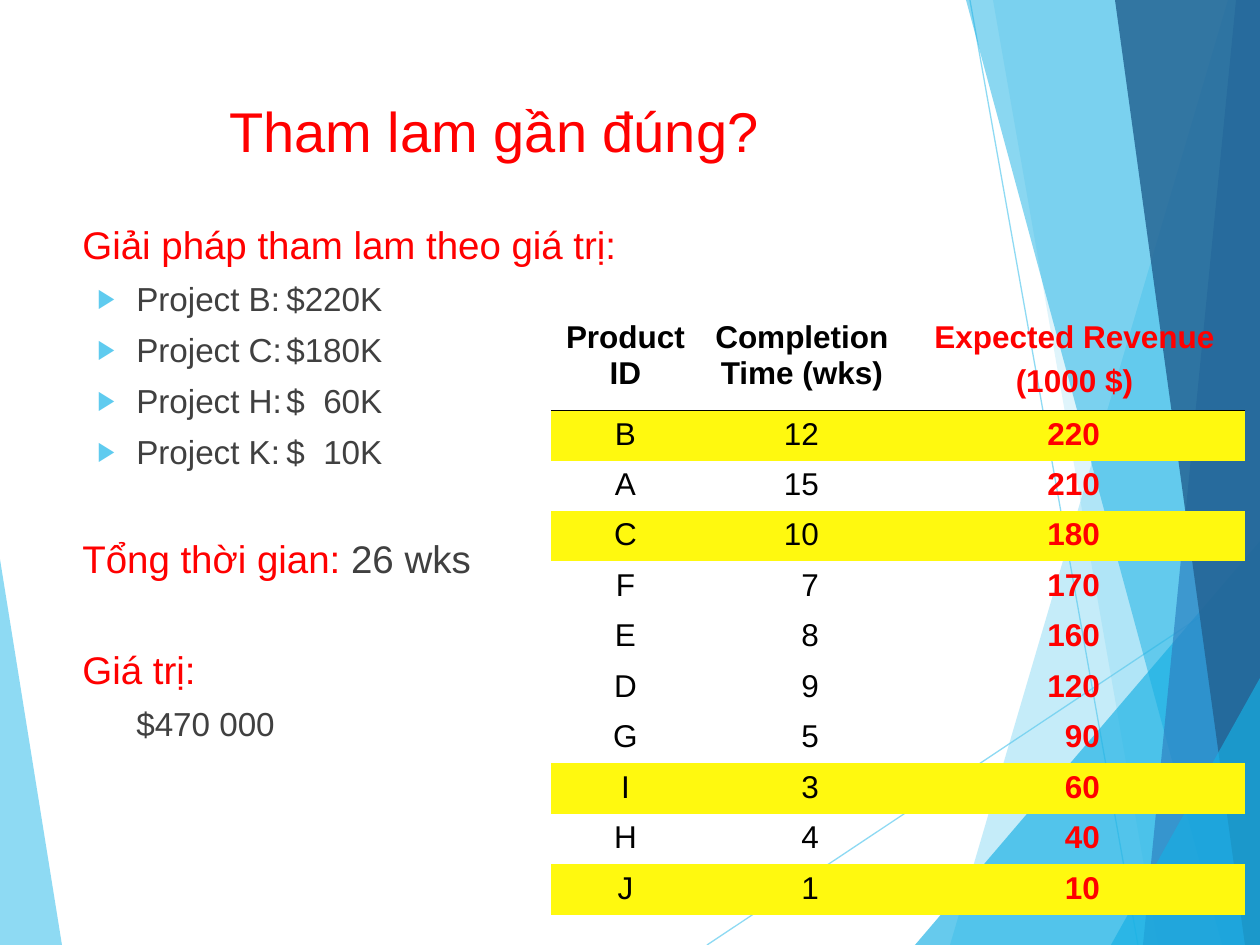
from dataclasses import dataclass

from lxml.etree import SubElement
from pptx import Presentation
from pptx.dml.color import RGBColor
from pptx.enum.shapes import MSO_CONNECTOR
from pptx.enum.text import MSO_ANCHOR, PP_ALIGN
from pptx.oxml import parse_xml
from pptx.oxml.ns import nsdecls, qn
from pptx.util import Emu, Pt

SCALE = 914400 / 126  # EMU per px
PAGE_WIDTH, PAGE_HEIGHT = 1260, 945
NO_STYLE_TABLE = "{2D5ABB26-0587-4C30-8999-92F81FD0307C}"


@dataclass(frozen=True)
class Theme:
    font: str = "Arial"
    red: str = "FF0000"
    gray: str = "404040"
    black: str = "000000"
    yellow: str = "FFF90F"
    sky: str = "5FCBEF"
    cyan: str = "17B0E4"
    blue: str = "2E83C3"
    navy: str = "236292"
    title_size: int = 32
    heading_size: int = 22
    item_size: int = 19
    table_size: int = 18


THEME = Theme()

# Facets: outline, colour, opacity in percent
W, H = PAGE_WIDTH, PAGE_HEIGHT
LEFT_FACET = ([(0, 559), (62, H), (0, H)], THEME.sky, 70)
RIGHT_FACETS = [
    ([(1228, 0), (950, H), (W, H), (W, 0)], THEME.sky, 36),
    ([(993, 0), (1158, H), (W, H), (W, 0)], THEME.sky, 20),
    ([(915, H), (W, 541), (W, H)], THEME.cyan, 66),
    ([(966, 0), (1222, H), (W, H), (W, 0)], THEME.cyan, 50),
    ([(1236, 0), (1143, H), (W, H), (W, 0)], THEME.blue, 70),
    ([(1115, 0), (1245, H), (W, H), (W, 0)], THEME.navy, 82),
    ([(1111, H), (W, 678), (W, H)], THEME.cyan, 66),
]
RAYS = [(707, H, W, 577), (970, 0, 1138, H)]

PROJECTS = ["Project B:\t$220K", "Project C:\t$180K",
            "Project H:\t$\t60K", "Project K:\t$\t10K"]

COLUMNS = [149, 204, 341]
NUMBER_MARGINS = [None, 85, 145]  # right margins of the number columns
HEADERS = ["Product ID", "Completion Time (wks)", "Expected Revenue\n(1000 $)"]
PRODUCTS = [("B", 12, 220), ("A", 15, 210), ("C", 10, 180), ("F", 7, 170),
            ("E", 8, 160), ("D", 9, 120), ("G", 5, 90), ("I", 3, 60),
            ("H", 4, 40), ("J", 1, 10)]
CHOSEN = "BCIJ"


def px(length):
    return Emu(round(length * SCALE))


def set_alpha(fill_parent, percent):
    color = next(fill_parent.iter(qn("a:srgbClr")))
    SubElement(color, qn("a:alpha")).set("val", str(percent * 1000))


def style_font(font, size, color, bold=False):
    font.name = THEME.font
    font.size = Pt(size)
    font.bold = bold
    font.color.rgb = RGBColor.from_string(color)


def add_facet(page, points, color, opacity):
    builder = page.shapes.build_freeform(*points[0], scale=SCALE)
    builder.add_line_segments(points[1:], close=True)
    facet = builder.convert_to_shape()
    facet.shadow.inherit = False
    facet.fill.solid()
    facet.fill.fore_color.rgb = RGBColor.from_string(color)
    facet.line.fill.background()
    set_alpha(facet.fill._xPr, opacity)


def add_ray(page, *ends):
    ray = page.shapes.add_connector(MSO_CONNECTOR.STRAIGHT, *map(px, ends))
    ray.line.color.rgb = RGBColor.from_string(THEME.sky)
    ray.line.width = Pt(0.75)
    properties = ray._element.spPr
    set_alpha(properties, 70)
    SubElement(properties, qn("a:effectLst"))


def add_text_box(page, left, top, width, height):
    box = page.shapes.add_textbox(*map(px, (left, top, width, height)))
    box.text_frame.word_wrap = True
    box.text_frame.vertical_anchor = MSO_ANCHOR.TOP
    return box.text_frame


def add_line(frame, spans, size, indent, before=10, bullet=False):
    """Add one paragraph; spans are (text, colour) pairs."""
    first = not frame.text
    para = frame.paragraphs[0] if first else frame.add_paragraph()
    properties = para._p.get_or_add_pPr()
    properties.set("marL", str(px(indent)))
    properties.set("indent", str(px(-39 if bullet else 0)))
    if bullet:
        add_bullet_and_tabs(properties)
    para.line_spacing = 0.84
    para.space_before = Pt(0 if first else before)
    for text, color in spans:
        span = para.add_run()
        span.text = text
        style_font(span.font, size, color)


def add_bullet_and_tabs(properties):
    parts = [
        f'<a:buClr {nsdecls("a")}><a:srgbClr val="{THEME.sky}"/></a:buClr>',
        f'<a:buSzPct {nsdecls("a")} val="80000"/>',
        f'<a:buFont {nsdecls("a")} typeface="{THEME.font}"/>',
        f'<a:buChar {nsdecls("a")} char="▶"/>',
        f'<a:tabLst {nsdecls("a")}><a:tab pos="{px(252)}" algn="l"/>'
        f'<a:tab pos="{px(348)}" algn="r"/></a:tabLst>',
    ]
    for part in parts:
        properties.append(parse_xml(part))


def fill_cell(cell, text, color, bold, fill=None, number_margin=None):
    cell.text_frame.text = text
    cell.vertical_anchor = MSO_ANCHOR.TOP
    if number_margin:
        cell.margin_right = px(number_margin)
    for index, para in enumerate(cell.text_frame.paragraphs):
        para.alignment = PP_ALIGN.RIGHT if number_margin else PP_ALIGN.CENTER
        para.space_before = Pt(4.5 if index else 0)
        for span in para.runs:
            style_font(span.font, THEME.table_size, color, bold)
    if fill:
        cell.fill.solid()
        cell.fill.fore_color.rgb = RGBColor.from_string(fill)
    else:
        cell.fill.background()


def underline_cell(cell):
    border = (f'<a:lnB {nsdecls("a")} w="{Pt(0.45)}"><a:solidFill>'
              f'<a:srgbClr val="{THEME.black}"/></a:solidFill></a:lnB>')
    cell._tc.get_or_add_tcPr().insert(0, parse_xml(border))


def add_product_table(page):
    frame = page.shapes.add_table(len(PRODUCTS) + 1, len(COLUMNS), px(551),
                                  px(314), px(sum(COLUMNS)), px(600))
    table = frame.table
    table.first_row = table.horz_banding = False
    table._tbl.tblPr.find(qn("a:tableStyleId")).text = NO_STYLE_TABLE
    for column, width in zip(table.columns, COLUMNS):
        column.width = px(width)
    for index, row in enumerate(table.rows):
        row.height = px(504 / len(PRODUCTS)) if index else px(96)

    colors = [THEME.black, THEME.black, THEME.red]
    for column, header in enumerate(HEADERS):
        cell = table.cell(0, column)
        fill_cell(cell, header, colors[column], True)
        underline_cell(cell)
    for row, product in enumerate(PRODUCTS, start=1):
        fill = THEME.yellow if product[0] in CHOSEN else None
        for column, value in enumerate(product):
            fill_cell(table.cell(row, column), str(value), colors[column],
                      column == 2, fill, NUMBER_MARGINS[column])


def main():
    deck = Presentation()
    deck.slide_width, deck.slide_height = px(PAGE_WIDTH), px(PAGE_HEIGHT)
    page = deck.slides.add_slide(deck.slide_layouts[6])

    # Background facets and rays
    add_facet(page, *LEFT_FACET)
    for ray in RAYS:
        add_ray(page, *ray)
    for facet in RIGHT_FACETS:
        add_facet(page, *facet)

    # Title
    title = add_text_box(page, 217, 90, 1039, 67)
    title.text = "Tham lam gần đúng?"
    style_font(title.paragraphs[0].runs[0].font, THEME.title_size, THEME.red)

    # Greedy solution
    body = add_text_box(page, 22, 222, 874, 534)
    heading, item = THEME.heading_size, THEME.item_size
    add_line(body, [("Giải pháp tham lam theo giá trị:", THEME.red)], heading, 48)
    for project in PROJECTS:
        add_line(body, [(project, THEME.gray)], item, 102, bullet=True)
    add_line(body, [("Tổng thời gian: ", THEME.red), ("26 wks", THEME.gray)],
             heading, 48, before=41)
    add_line(body, [("Giá trị:", THEME.red)], heading, 48, before=41)
    add_line(body, [("$470 000", THEME.gray)], item, 102)

    # Products by revenue
    add_product_table(page)
    deck.save("out.pptx")


if __name__ == "__main__":
    main()
